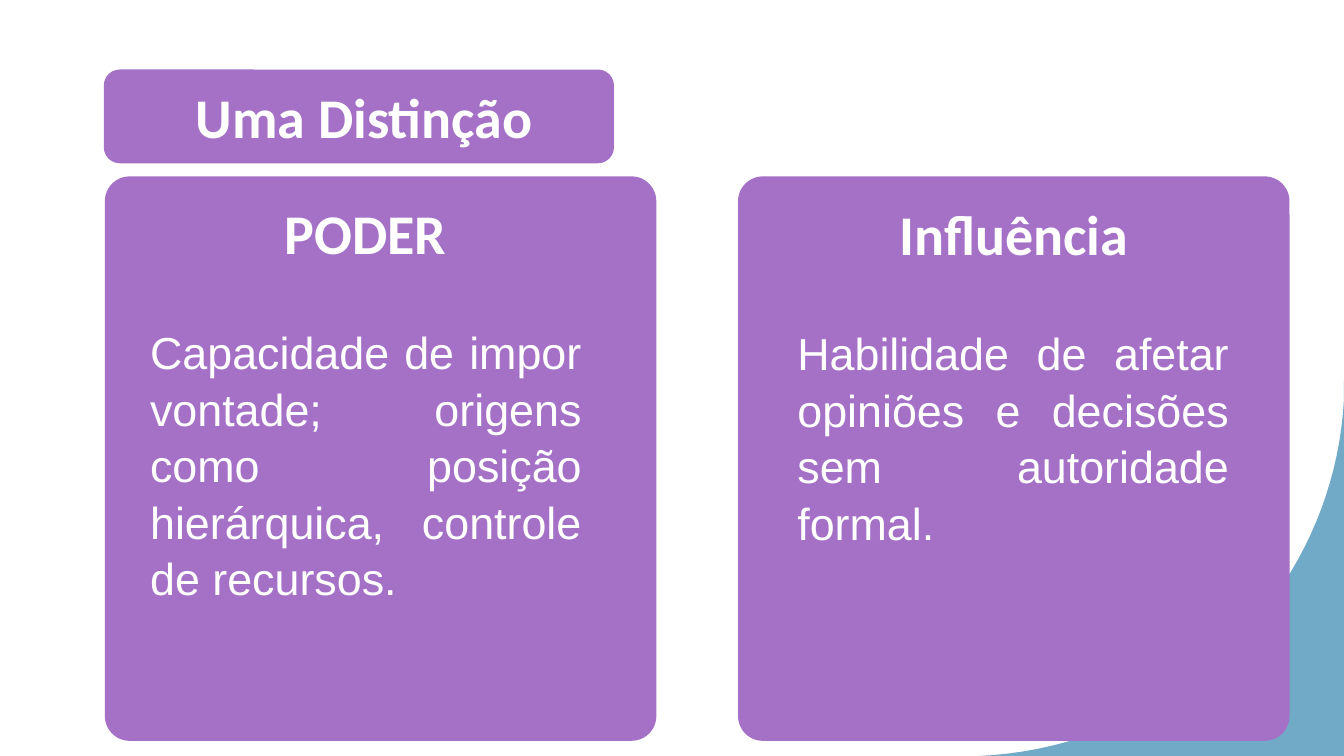
from pptx import Presentation
from pptx.dml.color import RGBColor
from pptx.enum.shapes import MSO_SHAPE
from pptx.enum.text import MSO_ANCHOR, PP_ALIGN
from pptx.util import Inches, Pt

ROUNDED = MSO_SHAPE.ROUNDED_RECTANGLE
MIDDLE = MSO_ANCHOR.MIDDLE
CENTER = PP_ALIGN.CENTER
JUSTIFY = PP_ALIGN.JUSTIFY

COLORS = {"background": "FFFFFF", "corner": "71AAC7", "card": "A471C7", "text": "FFFFFF"}
CURVE_STEPS = 40
CARD_TOP = 1.75
CARD_WIDTH = 5.47
CARD_HEIGHT = 5.6
HEADING_WIDTH = 2.87
BODY_WIDTH = 4.48

CARDS = [
    {
        "left": 7.32,
        "heading": ("Influência", 8.62, 1.93),
        "body": ("Habilidade de afetar opiniões e decisões sem autoridade formal.", 7.81, 3.16, 2.26),
    },
    {
        "left": 1.04,
        "heading": ("PODER", 2.19, 1.92),
        "body": (
            "Capacidade de impor vontade; origens como posição hierárquica, controle de recursos.",
            1.39, 3.15, 2.79,
        ),
    },
]


def color(name):
    return RGBColor.from_string(COLORS[name])


def paint(shape, name):
    shape.shadow.inherit = False
    shape.fill.solid()
    shape.fill.fore_color.rgb = color(name)
    shape.line.fill.background()


def curve_point(start, control_a, control_b, end, t):
    u = 1 - t
    weights = (u ** 3, 3 * u * u * t, 3 * u * t * t, t ** 3)
    points = (start, control_a, control_b, end)
    return tuple(
        Inches(sum(weight * point[axis] for weight, point in zip(weights, points)))
        for axis in (0, 1)
    )


def add_corner(slide):
    curve = ((9.71, 7.5), (11.67, 7.41), (13.23, 5.87), (13.33, 3.96))
    outline = [(Inches(13.33), Inches(7.5)), (Inches(9.63), Inches(7.5))]
    outline += [curve_point(*curve, step / CURVE_STEPS) for step in range(CURVE_STEPS + 1)]
    builder = slide.shapes.build_freeform(Inches(13.33), Inches(3.78))
    builder.add_line_segments(outline, close=True)
    paint(builder.convert_to_shape(), "corner")


def add_panel(slide, left, top, width, height, rounding):
    panel = slide.shapes.add_shape(
        ROUNDED, Inches(left), Inches(top), Inches(width), Inches(height)
    )
    panel.adjustments[0] = rounding
    paint(panel, "card")
    return panel


def set_text(shape, text, size, font_name, alignment, bold=False):
    shape.text_frame.word_wrap = True
    shape.text_frame.text = text
    paragraph = shape.text_frame.paragraphs[0]
    paragraph.alignment = alignment
    font = paragraph.runs[0].font
    font.size = Pt(size)
    font.name = font_name
    font.bold = bold
    font.color.rgb = color("text")
    return paragraph


def add_textbox(slide, left, top, width, height):
    return slide.shapes.add_textbox(Inches(left), Inches(top), Inches(width), Inches(height))


def add_heading(slide, text, left, top):
    box = add_textbox(slide, left, top, HEADING_WIDTH, 0.77)
    set_text(box, text, 40, "Calibri", CENTER, bold=True)


def add_body(slide, text, left, top, height):
    box = add_textbox(slide, left, top, BODY_WIDTH, height)
    paragraph = set_text(box, text, 32, "Arial", JUSTIFY)
    paragraph.line_spacing = 1.05


def add_title(slide):
    title = add_panel(slide, 1.03, 0.69, 5.06, 0.93, 0.17)
    title.text_frame.vertical_anchor = MIDDLE
    title.text_frame.margin_left = Inches(0.2)
    set_text(title, "Uma Distinção", 40, "Calibri", CENTER, bold=True)


def main():
    presentation = Presentation()
    presentation.slide_width = Inches(13.33)
    presentation.slide_height = Inches(7.5)
    slide = presentation.slides.add_slide(presentation.slide_layouts[6])
    slide.background.fill.solid()
    slide.background.fill.fore_color.rgb = color("background")
    add_corner(slide)
    for card in CARDS:
        add_panel(slide, card["left"], CARD_TOP, CARD_WIDTH, CARD_HEIGHT, 0.045)
    add_title(slide)
    for card in CARDS:
        add_heading(slide, *card["heading"])
        add_body(slide, *card["body"])
    presentation.save("out.pptx")


if __name__ == "__main__":
    main()
